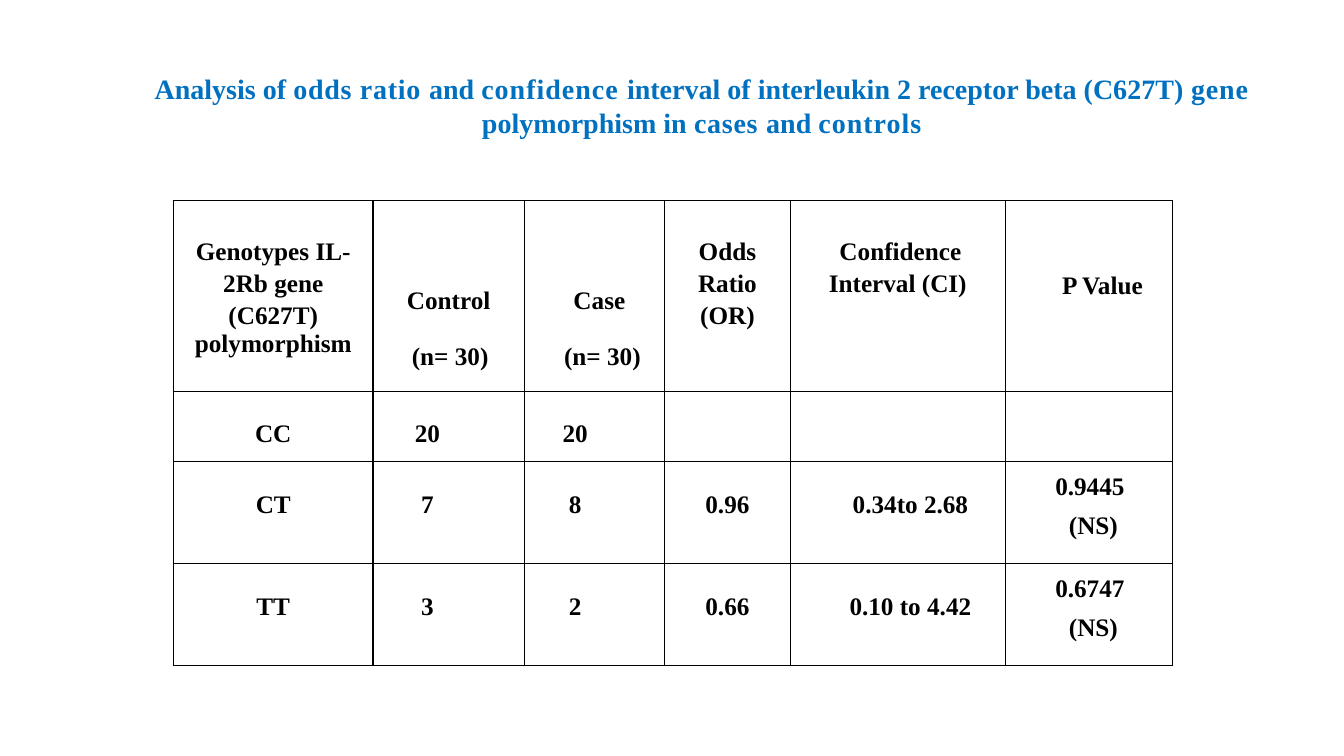
from lxml import etree
from pptx import Presentation
from pptx.dml.color import RGBColor
from pptx.enum.text import MSO_ANCHOR, MSO_AUTO_SIZE, PP_ALIGN
from pptx.oxml.ns import qn
from pptx.util import Inches, Pt

CENTER = PP_ALIGN.CENTER
TOP = MSO_ANCHOR.TOP
GROW = MSO_AUTO_SIZE.SHAPE_TO_FIT_TEXT
FONT = "Times New Roman"
COLORS = {"title": "0070C0", "text": "000000", "border": "000000", "cell": "FFFFFF"}

# Title runs: text and letter spacing in points
TITLE = [
    ("Analysis of ", 0), ("odds ratio ", 0.5), ("and ", 0), ("confidence ", 0.7),
    ("interval of interleukin 2 receptor beta (C627T) ", 0), ("gene ", 0.6),
    ("polymorphism in ", 0), ("cases ", 0.5), ("and ", 0), ("controls", 0.7),
]

COL_WIDTHS = [1.98, 1.5, 1.39, 1.25, 2.13, 1.66]
ROW_HEIGHTS = [1.89, 0.7, 1.01, 1.01]

# Header cells: top margin, then paragraphs of
# (text, left indent, first-line indent, right indent, line spacing)
HEADER = [
    (0.33, [("Genotypes IL- 2Rb gene (C627T)", 0.13, 0, 0.13, 1.15),
            ("polymorphism", 0.13, 0, 0.13, 1.0)]),
    (0.58, [("Control (n= 30)", 0.25, -0.03, 0.22, 2.01)]),
    (0.58, [("Case", 0.21, 0.08, 0.19, 2.01),
            ("(n= 30)", 0.21, 0.14, 0.19, 2.01)]),
    (0.33, [("Odds Ratio (OR)", 0.22, 0, 0.22, 1.15)]),
    (0.33, [("Confidence Interval (CI)", 0.26, 0.05, 0.26, 1.15)]),
    (0.71, [("P Value", 0.27, 0, 0, 1.0)]),
]

BODY = [
    ["CC", "20", "20", "", "", ""],
    ["CT", "7", "8", "0.96", "0.34to 2.68", "0.9445 (NS)"],
    ["TT", "3", "2", "0.66", "0.10 to 4.42", "0.6747 (NS)"],
]
BODY_TOP = 0.29
# Left, first-line and right indent of each body column
BODY_INDENTS = [(0.13, 0, 0.13), (0, 0, 0.42), (0, 0, 0.38),
                (0.26, 0, 0.26), (0.25, 0, 0), (0.39, -0.07, 0.3)]
P_VALUE_COL = 5


def style_run(r, size, color):
    r.font.name = FONT
    r.font.size = Pt(size)
    r.font.bold = True
    r.font.color.rgb = RGBColor.from_string(COLORS[color])


def add_title(s):
    box = s.shapes.add_textbox(Inches(1.34), Inches(0.66), Inches(11.24), Inches(0.77))
    tf = box.text_frame
    tf.word_wrap = True
    tf.auto_size = GROW
    p = tf.paragraphs[0]
    p.alignment = CENTER
    for text, spacing in TITLE:
        r = p.add_run()
        r.text = text
        style_run(r, 20, "title")
        if spacing:
            r.font._element.set("spc", str(round(spacing * 100)))


def set_borders(cell):
    tcPr = cell._tc.get_or_add_tcPr()
    for side in ("a:lnL", "a:lnR", "a:lnT", "a:lnB"):
        ln = etree.SubElement(tcPr, qn(side), w=str(Pt(1)))
        fill = etree.SubElement(ln, qn("a:solidFill"))
        etree.SubElement(fill, qn("a:srgbClr"), val=COLORS["border"])


def fill_cell(cell, top, paragraphs):
    set_borders(cell)
    cell.fill.solid()
    cell.fill.fore_color.rgb = RGBColor.from_string(COLORS["cell"])
    cell.margin_left = cell.margin_right = cell.margin_bottom = 0
    cell.margin_top = Inches(top)
    cell.vertical_anchor = TOP
    tf = cell.text_frame
    tf.text = "\n".join(item[0] for item in paragraphs)
    for p, (_, left, first, right, spacing) in zip(tf.paragraphs, paragraphs):
        p.alignment = CENTER
        p.line_spacing = spacing
        pPr = p._p.get_or_add_pPr()
        for name, value in (("marL", left), ("indent", first), ("marR", right)):
            pPr.set(name, str(Inches(value)))
        for r in p.runs:
            style_run(r, 18, "text")


def add_genotype_table(s):
    frame = s.shapes.add_table(len(ROW_HEIGHTS), len(COL_WIDTHS), Inches(1.72), Inches(1.99),
                               Inches(sum(COL_WIDTHS)), Inches(sum(ROW_HEIGHTS)))
    table = frame.table
    table.first_row = False
    table.horz_banding = False
    for col, width in zip(table.columns, COL_WIDTHS):
        col.width = Inches(width)
    for row, height in zip(table.rows, ROW_HEIGHTS):
        row.height = Inches(height)

    # Header row
    for j, (top, paragraphs) in enumerate(HEADER):
        fill_cell(table.cell(0, j), top, paragraphs)

    # Genotype rows
    for i, values in enumerate(BODY, start=1):
        for j, text in enumerate(values):
            is_p_value = j == P_VALUE_COL and text
            top = 0 if is_p_value else BODY_TOP
            spacing = Pt(28) if is_p_value else 1.0
            fill_cell(table.cell(i, j), top, [(text, *BODY_INDENTS[j], spacing)])


def main():
    prs = Presentation()
    prs.slide_width = Inches(13.33)
    prs.slide_height = Inches(7.5)
    s = prs.slides.add_slide(prs.slide_layouts[6])
    add_genotype_table(s)
    add_title(s)
    prs.save("out.pptx")


if __name__ == "__main__":
    main()
